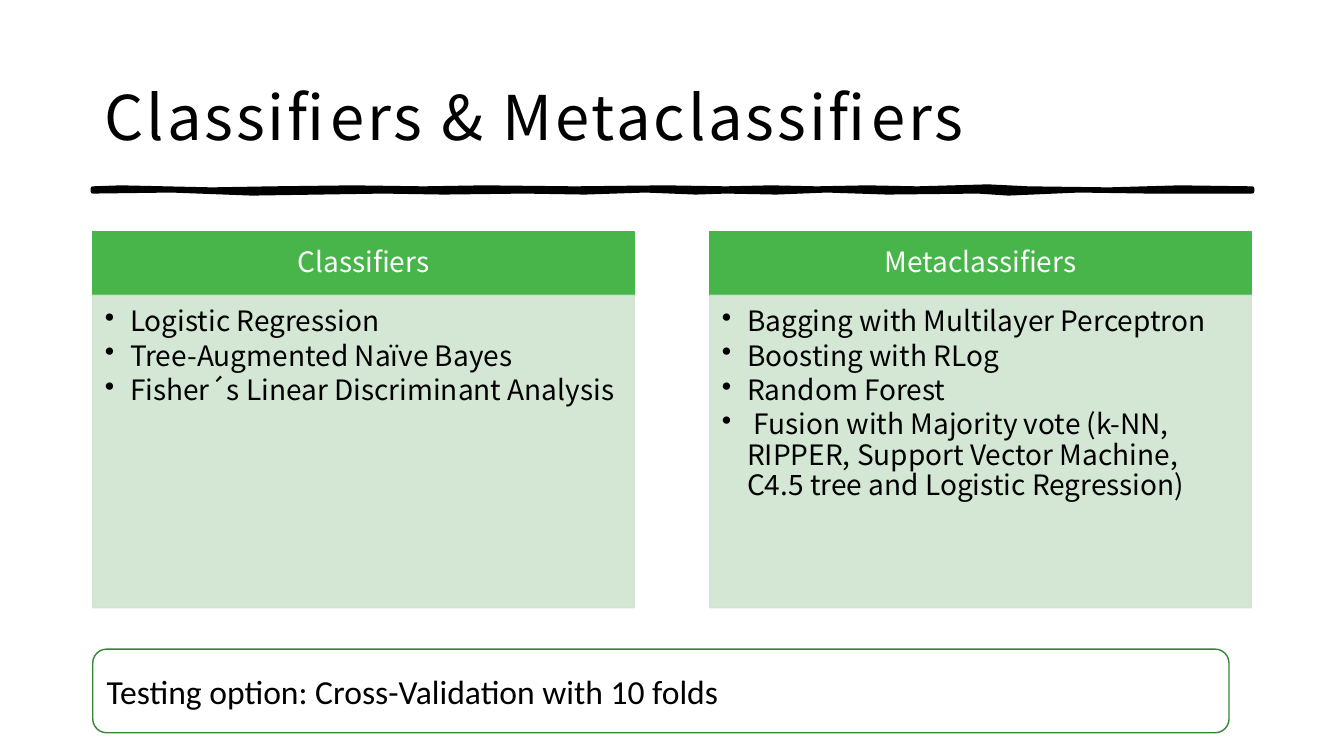
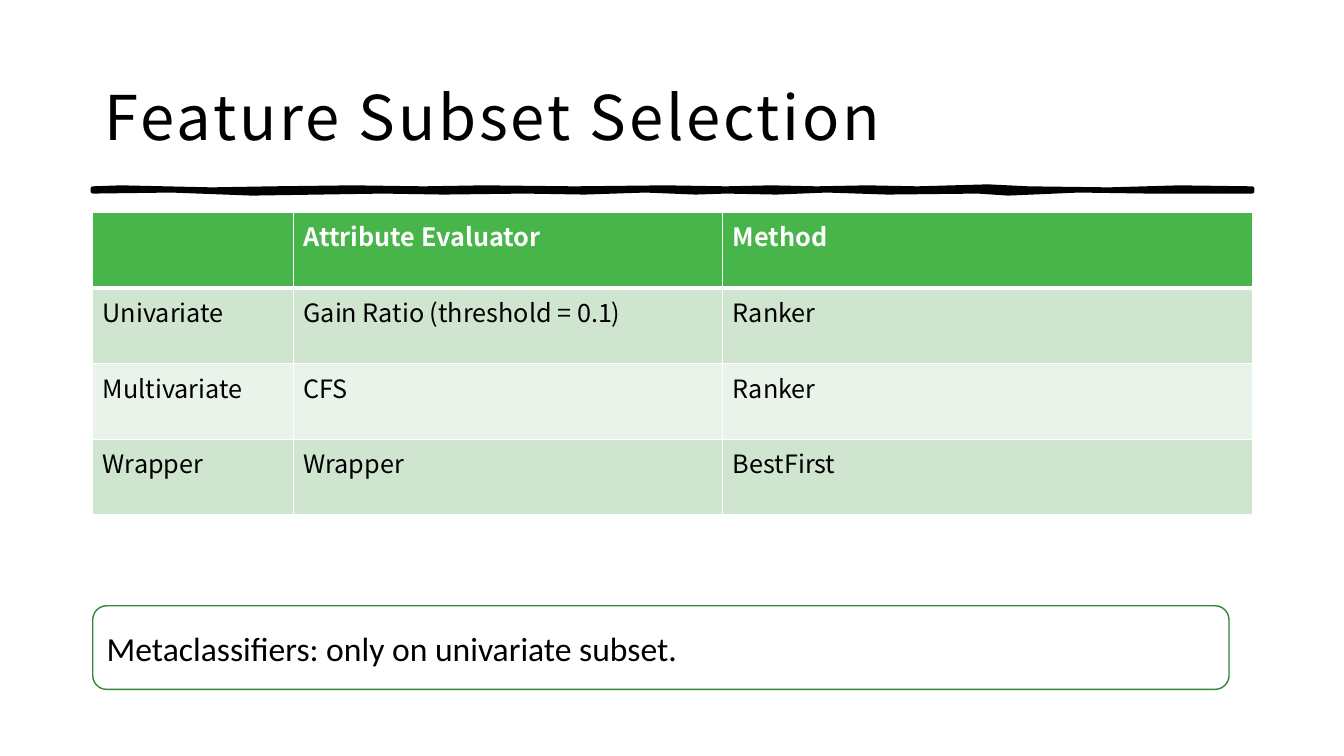
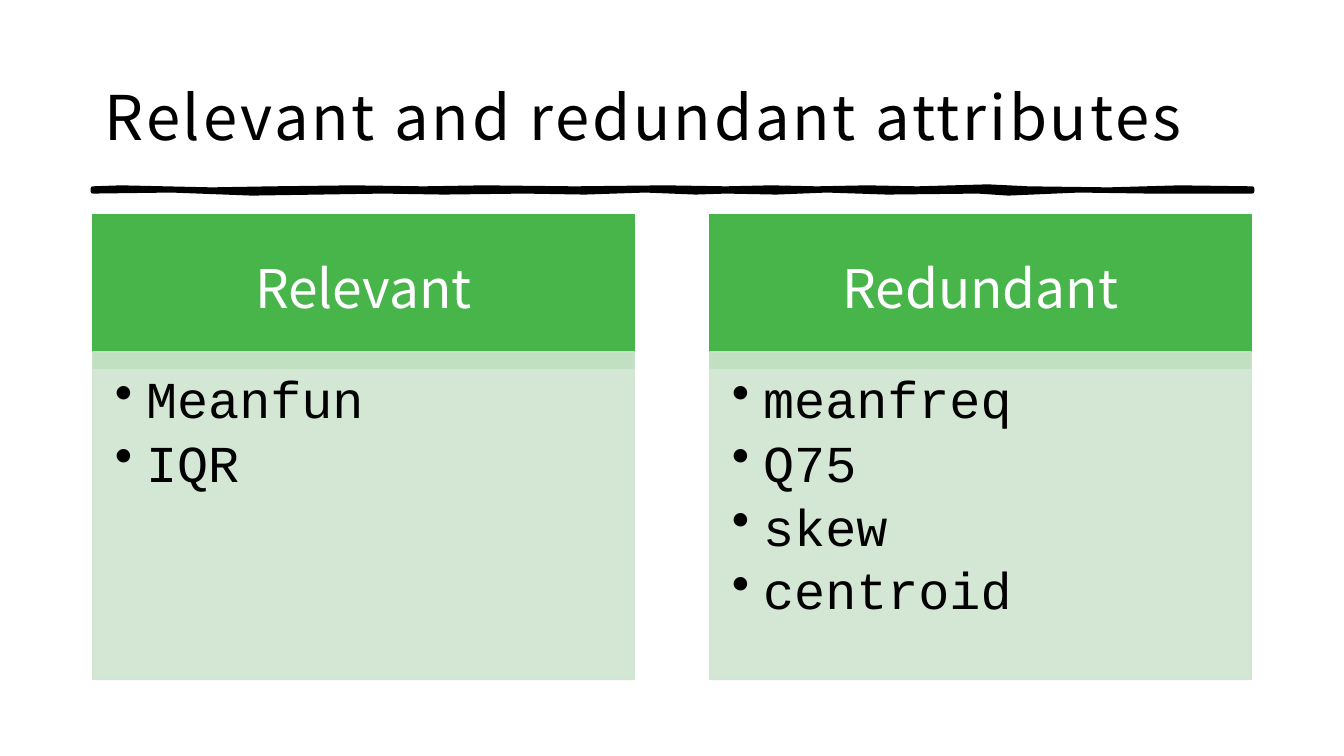
from lxml import etree
from pptx import Presentation
from pptx.dml.color import RGBColor
from pptx.enum import shapes, text
from pptx.oxml import ns
from pptx.util import Inches, Pt

BLACK = RGBColor(0x00, 0x00, 0x00)
WHITE = RGBColor(0xFF, 0xFF, 0xFF)
GREEN = RGBColor(0x47, 0xB5, 0x4A)
DARK_GREEN = RGBColor(0x35, 0x86, 0x37)
PALE_GREEN = RGBColor(0xCF, 0xE5, 0xD0)
FAINT_GREEN = RGBColor(0xE9, 0xF3, 0xE9)

SANS = "Noto Sans CJK SC"
MONO = "Courier New"
NOTE_FONT = "Calibri"

LEFT, WIDTH = 0.92, 11.5
PANEL_WIDTH = 5.37
PANEL_STEP = 6.12
NOTE_WIDTH, NOTE_HEIGHT = 11.27, 0.83

# Edges of the hand-drawn rule under the title, as (x, y) in inches
RULE_TOP = [(0.92, 1.87), (1.2, 1.86), (2.1, 1.88), (2.7, 1.87), (3.5, 1.86),
            (4.2, 1.87), (4.8, 1.86), (5.7, 1.87), (6.6, 1.86), (7.2, 1.87),
            (7.65, 1.86), (8.1, 1.87), (8.6, 1.86), (9.1, 1.87), (9.8, 1.85),
            (10.2, 1.87), (11, 1.88), (11.7, 1.86), (12.42, 1.87)]
RULE_BOTTOM = [(12.42, 1.9), (11.4, 1.9), (10.7, 1.89), (10, 1.92), (9.7, 1.9),
               (8.8, 1.91), (8.2, 1.89), (7.7, 1.91), (7.2, 1.9), (6.9, 1.91),
               (6.4, 1.89), (5.8, 1.91), (5.2, 1.9), (4.4, 1.91), (3.8, 1.9),
               (2.5, 1.92), (1.7, 1.89), (0.92, 1.9)]


def add_xml(parent, tag, **attributes):
    return etree.SubElement(parent, ns.qn(tag), attributes)


def write(para, words, font=SANS, size=18, color=BLACK, bold=False,
          align=None, line=None, after=None, bullet_indent=None, tracking=None):
    """Fill a paragraph; after is a percentage, bullet_indent is in inches."""
    para.alignment = align
    if line:
        para.line_spacing = line
    props = para._p.get_or_add_pPr()
    if after:
        add_xml(add_xml(props, "a:spcAft"), "a:spcPct", val=str(after * 1000))
    if bullet_indent:
        props.set("marL", str(Inches(bullet_indent)))
        props.set("indent", str(-Inches(bullet_indent)))
        add_xml(props, "a:buChar", char="•")
    span = para.add_run()
    span.text = words
    span.font.name = font
    span.font.size = Pt(size)
    span.font.bold = bold
    span.font.color.rgb = color
    if tracking:
        span._r.get_or_add_rPr().set("spc", str(tracking * 100))


def set_frame(box, insets, anchor):
    frame = box.text_frame
    frame.word_wrap = True
    frame.vertical_anchor = anchor
    (frame.margin_left, frame.margin_top,
     frame.margin_right, frame.margin_bottom) = map(Inches, insets)
    return frame


def add_block(page, kind, box, fill=None, line=None, opacity=None):
    block = page.shapes.add_shape(kind, *map(Inches, box))
    block.shadow.inherit = False
    if fill is None:
        block.fill.background()
    else:
        block.fill.solid()
        block.fill.fore_color.rgb = fill
    block.line.color.rgb = line
    block.line.width = Pt(1)
    if opacity:
        for color in block._element.spPr.iter(ns.qn("a:srgbClr")):
            add_xml(color, "a:alpha", val=str(opacity * 1000))
    return block


def add_rule(page):
    start, *rest = [(Inches(x), Inches(y)) for x, y in RULE_TOP + RULE_BOTTOM]
    builder = page.shapes.build_freeform(*start)
    builder.add_line_segments(rest, close=True)
    rule = builder.convert_to_shape()
    rule.shadow.inherit = False
    rule.fill.solid()
    rule.fill.fore_color.rgb = BLACK
    rule.line.color.rgb = BLACK
    rule.line.width = Pt(3)


def add_page(deck, title):
    """Add a slide with the shared title and rule."""
    page = deck.slides.add_slide(deck.slide_layouts[6])
    add_rule(page)
    box = page.shapes.add_textbox(*map(Inches, (LEFT, 0.4, WIDTH, 1.45)))
    frame = set_frame(box, (0.12, 0.12, 0.12, 0.1), text.MSO_ANCHOR.MIDDLE)
    write(frame.paragraphs[0], title, size=44, line=1.05, tracking=2)
    return page


def add_note(page, words, top):
    note = add_block(page, shapes.MSO_SHAPE.ROUNDED_RECTANGLE,
                     (LEFT, top, NOTE_WIDTH, NOTE_HEIGHT), line=DARK_GREEN)
    frame = set_frame(note, (0.1, 0.05, 0.1, 0.05), text.MSO_ANCHOR.MIDDLE)
    write(frame.paragraphs[0], words, font=NOTE_FONT, size=24,
          align=text.PP_ALIGN.LEFT)


def add_panel(page, box, heading, items, head_height, overlap, head_size,
              head_insets, item_font, item_size, item_insets, indent):
    """Draw a heading bar over a translucent bulleted body."""
    left, top, width, height = box
    rectangle = shapes.MSO_SHAPE.RECTANGLE
    head = add_block(page, rectangle, (left, top, width, head_height),
                     fill=GREEN, line=GREEN)
    frame = set_frame(head, head_insets, text.MSO_ANCHOR.MIDDLE)
    write(frame.paragraphs[0], heading, size=head_size, color=WHITE,
          align=text.PP_ALIGN.CENTER, line=0.9, after=35)

    body_offset = head_height - overlap
    body = add_block(page, rectangle,
                     (left, top + body_offset, width, height - body_offset),
                     fill=PALE_GREEN, line=PALE_GREEN, opacity=90)
    frame = set_frame(body, item_insets, text.MSO_ANCHOR.TOP)
    for index, item in enumerate(items):
        para = frame.add_paragraph() if index else frame.paragraphs[0]
        write(para, item, font=item_font, size=item_size,
              align=text.PP_ALIGN.LEFT, line=0.9, after=15,
              bullet_indent=indent)


def add_panels(page, top, height, panels, **style):
    for index, (heading, items) in enumerate(panels):
        box = (LEFT + index * PANEL_STEP, top, PANEL_WIDTH, height)
        add_panel(page, box, heading, items, **style)


def set_borders(cell, bottom_width):
    props = cell._tc.get_or_add_tcPr()
    for side, width in (("L", 1), ("R", 1), ("T", 1), ("B", bottom_width)):
        line = add_xml(props, f"a:ln{side}", w=str(Pt(width)))
        add_xml(add_xml(line, "a:solidFill"), "a:srgbClr", val=str(WHITE))


def add_grid(page, box, column_widths, rows):
    """Draw a table with a green header and alternating row tints."""
    frame = page.shapes.add_table(len(rows), len(column_widths),
                                  *map(Inches, box))
    table = frame.table
    for column, width in zip(table.columns, column_widths):
        column.width = Inches(width)
    for index, row in enumerate(rows):
        header = index == 0
        tint = GREEN if header else PALE_GREEN if index % 2 else FAINT_GREEN
        table.rows[index].height = Inches(box[3] / len(rows))
        for cell, words in zip(table.rows[index].cells, row):
            set_borders(cell, bottom_width=3 if header else 1)
            cell.fill.solid()
            cell.fill.fore_color.rgb = tint
            if words:
                write(cell.text_frame.paragraphs[0], words, bold=header,
                      color=WHITE if header else BLACK)


def classifiers_slide(deck):
    page = add_page(deck, "Classifiers & Metaclassifiers")
    add_note(page, "Testing option: Cross-Validation with 10 folds", 6.44)
    add_panels(
        page, 2.3, 3.73,
        [("Classifiers", ["Logistic Regression",
                          "Tree-Augmented Naïve Bayes",
                          "Fisher´s Linear Discriminant Analysis"]),
         ("Metaclassifiers", ["Bagging with Multilayer Perceptron",
                              "Boosting with RLog",
                              "Random Forest",
                              " Fusion with Majority vote (k-NN, RIPPER, "
                              "Support Vector Machine, C4.5 tree and "
                              "Logistic Regression)"])],
        head_height=0.63, overlap=0, head_size=20,
        head_insets=(0.16, 0.09, 0.16, 0.09), item_font=SANS, item_size=20,
        item_insets=(0.12, 0.12, 0.16, 0.17), indent=0.25)


def selection_slide(deck):
    page = add_page(deck, "Feature Subset Selection")
    add_grid(page, (LEFT, 2.11, WIDTH, 3), (1.99, 4.26, 5.25),
             [("", "Attribute Evaluator", "Method"),
              ("Univariate", "Gain Ratio (threshold = 0.1)", "Ranker"),
              ("Multivariate", "CFS", "Ranker"),
              ("Wrapper", "Wrapper", "BestFirst")])
    add_note(page, "Metaclassifiers: only on univariate subset.", 6.01)


def attributes_slide(deck):
    page = add_page(deck, "Relevant and redundant attributes")
    add_panels(
        page, 2.13, 4.61,
        [("Relevant", ["Meanfun", "IQR"]),
         ("Redundant", ["meanfreq", "Q75", "skew", "centroid"])],
        head_height=1.52, overlap=0.16, head_size=38,
        head_insets=(0.3, 0.17, 0.3, 0.17), item_font=MONO, item_size=37,
        item_insets=(0.22, 0.22, 0.29, 0.32), indent=0.31)


def main():
    deck = Presentation()
    deck.slide_width = Inches(13.33)
    deck.slide_height = Inches(7.5)
    classifiers_slide(deck)
    selection_slide(deck)
    attributes_slide(deck)
    deck.save("out.pptx")


if __name__ == "__main__":
    main()
